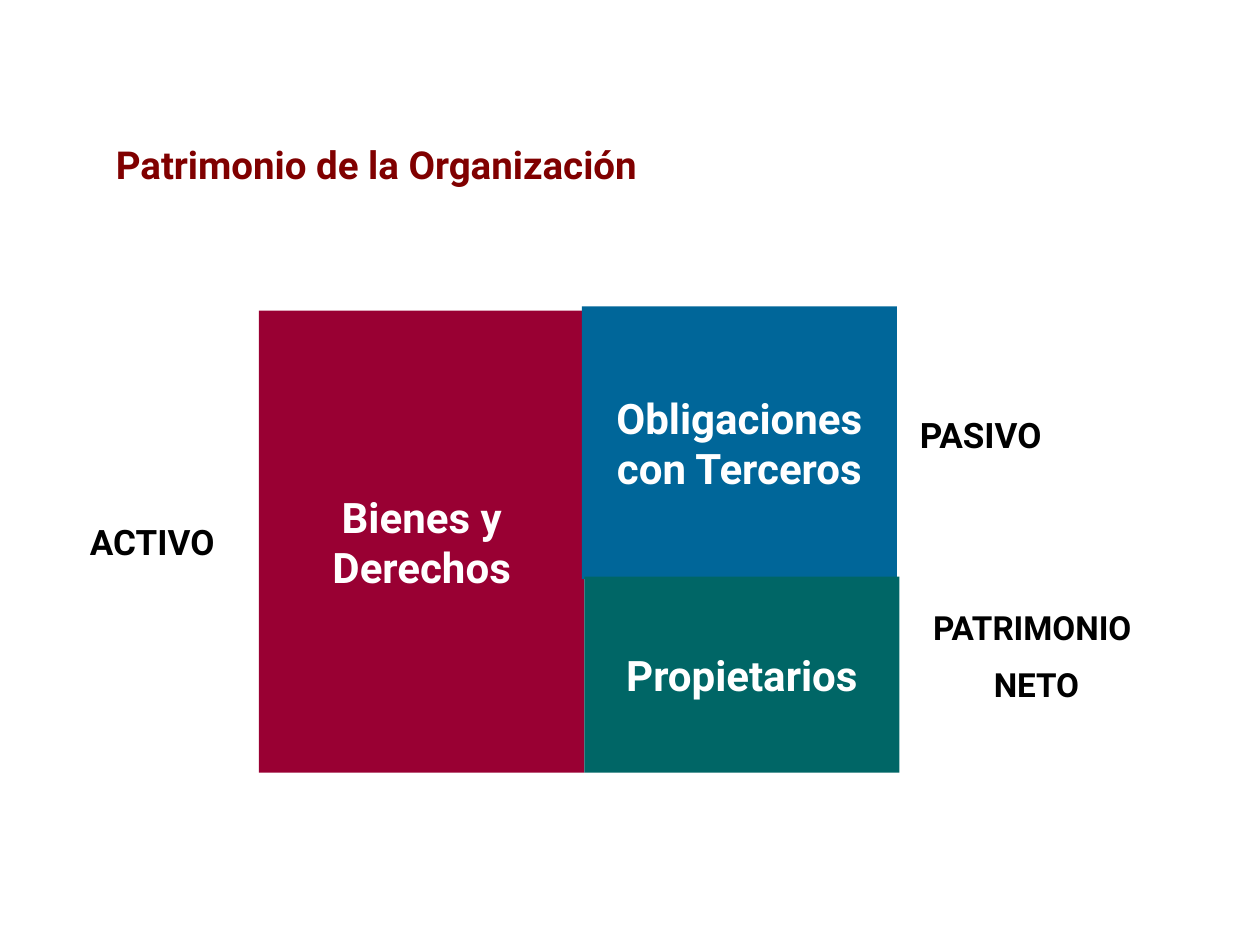
from pptx import Presentation
from pptx import util as u
from pptx.dml.color import RGBColor
from pptx.enum import shapes, text

Pt = u.Pt


def color(code):
    return RGBColor.from_string(code)


def write(frame, lines, size, code, align, gap=None):
    """Write bold lines: split by breaks, or by paragraphs when gap is given."""
    para = frame.paragraphs[0]
    for i, line in enumerate(lines):
        if i and gap is None:
            para.add_line_break()
        elif i:
            para = frame.add_paragraph()
            para.space_before = Pt(gap)
        para.alignment = align
        run = para.add_run()
        run.text = line
        run.font.name = "Roboto"
        run.font.size = Pt(size)
        run.font.bold = True
        run.font.color.rgb = color(code)


deck = Presentation()
deck.slide_width, deck.slide_height = Pt(720), Pt(540)
slide = deck.slides.add_slide(deck.slide_layouts[5])
left, mid = text.PP_ALIGN.LEFT, text.PP_ALIGN.CENTER

# Title
title = slide.shapes.title
title.left, title.top, title.width, title.height = map(Pt, (59, 77, 629, 34))
frame = title.text_frame
frame.auto_size = text.MSO_AUTO_SIZE.NONE
frame.vertical_anchor = text.MSO_ANCHOR.TOP
write(frame, ["Patrimonio de la Organización"], 22, "800000", left)

# Balance blocks
blocks = [
    ((148, 177.5, 186, 264), "990033", ["Bienes y", "Derechos"]),
    ((332.5, 175, 180, 156), "006699", ["Obligaciones", "con Terceros"]),
    ((334, 329.5, 180, 112), "006666", ["Propietarios"]),
]
for box, fill, lines in blocks:
    block = slide.shapes.add_shape(shapes.MSO_SHAPE.RECTANGLE, *map(Pt, box))
    block.shadow.inherit = False
    block.fill.solid()
    block.fill.fore_color.rgb = color(fill)
    block.line.fill.background()
    frame = block.text_frame
    frame.word_wrap = False
    frame.vertical_anchor = text.MSO_ANCHOR.MIDDLE
    write(frame, lines, 24, "FFFFFF", mid)

# Side labels
labels = [
    ((26, 294, 122, 31), ["ACTIVO"], 20, mid),
    ((518.5, 233, 119, 31), ["PASIVO"], 20, left),
    ((518.5, 343.5, 147.5, 64), ["PATRIMONIO ", "NETO"], 19, mid),
]
for box, lines, size, align in labels:
    frame = slide.shapes.add_textbox(*map(Pt, box)).text_frame
    frame.word_wrap = True
    write(frame, lines, size, "000000", align, gap=size / 2)

deck.save("out.pptx")
